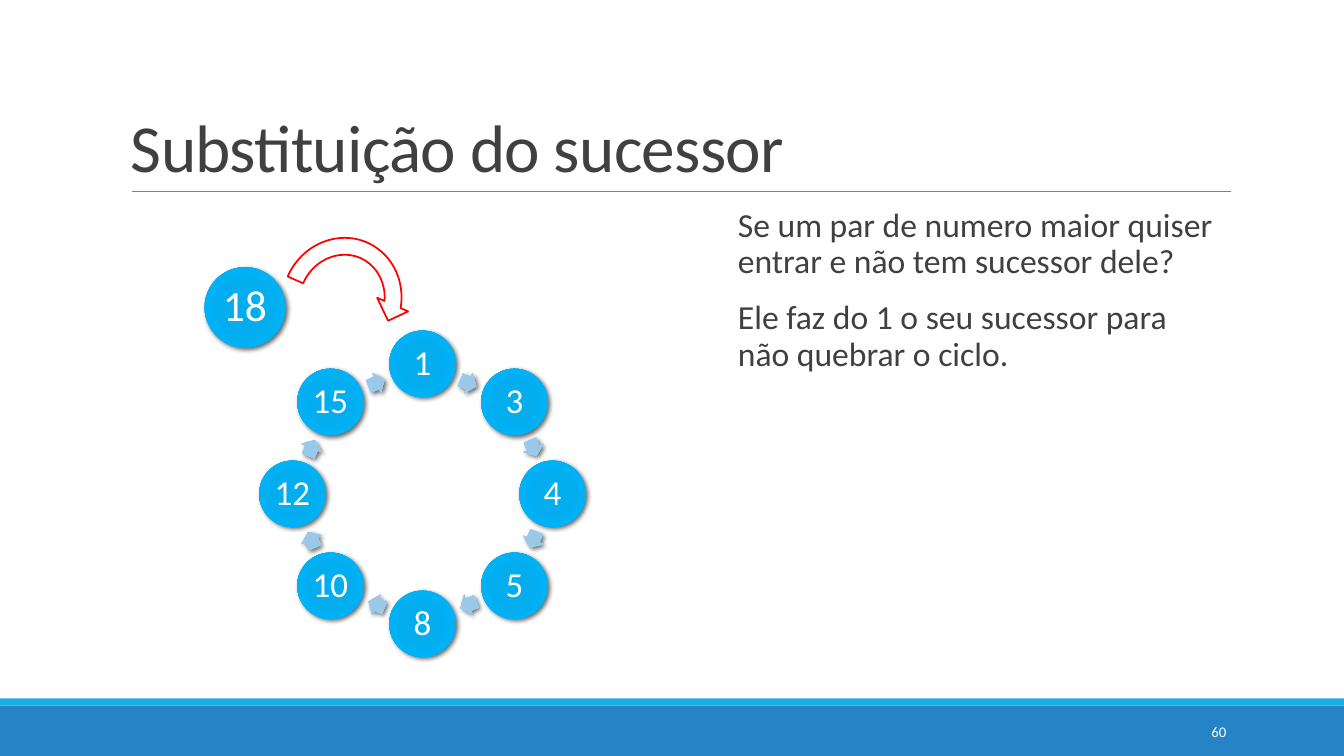
from dataclasses import dataclass
from math import cos, radians, sin

from lxml import etree
from pptx import Presentation
from pptx.dml.color import RGBColor as Rgb
from pptx.enum.shapes import MSO_CONNECTOR as Conn, MSO_SHAPE as Geo
from pptx.enum.text import MSO_ANCHOR as Anchor, PP_ALIGN as Align
from pptx.oxml import parse_xml
from pptx.oxml.ns import qn
from pptx.util import Pt

PX = 9144  # EMU in one px, 100 px to the inch
NS = 'xmlns:a="http://schemas.openxmlformats.org/drawingml/2006/main"'
SHADOW = f"""<a:outerShdw {NS} blurRad="44450" dist="25400" dir="2700000">
  <a:srgbClr val="000000"><a:alpha val="60000"/></a:srgbClr></a:outerShdw>"""


@dataclass(frozen=True)
class Theme:
    font: str = "Calibri"
    ink: str = "404040"
    white: str = "FFFFFF"
    rule: str = "808080"
    bar: str = "2683C6"
    strip: str = "1CADE4"
    alert: str = "FF0000"
    stops: tuple = (0, 34, 70, 100)
    node: tuple = ("00ADEF", "03ADEE", "00B1F5", "12B1EE")
    link: tuple = ("97C6E8", "9AC8E9", "9BCBEE", "A9D3F3")
    title: float = 48
    body: float = 24
    label: float = 25
    guest: float = 31
    page: float = 10.5


class Board:
    def __init__(self, slide, theme):
        self.shapes = slide.shapes
        self.theme = theme

    def style(self, para, size, color, align=Align.LEFT, lead=0.9):
        para.alignment = align
        para.line_spacing = lead
        for run in para.runs:
            run.font.name = self.theme.font
            run.font.size = Pt(size)
            run.font.color.rgb = Rgb.from_string(color)

    def text(self, box, lines, size, color, anchor=Anchor.TOP, **look):
        """Add a text box and return its paragraphs."""
        frame = self.shapes.add_textbox(*(v * PX for v in box)).text_frame
        frame.word_wrap = True
        frame.vertical_anchor = anchor
        frame.text = "\n".join(lines)
        for para in frame.paragraphs:
            self.style(para, size, color, **look)
        return frame.paragraphs

    def shape(self, geo, box, fill=None, line=None):
        item = self.shapes.add_shape(geo, *(round(v * PX) for v in box))
        item.shadow.inherit = False
        if fill:
            item.fill.solid()
            item.fill.fore_color.rgb = Rgb.from_string(fill)
        else:
            item.fill.background()
        if line:
            item.line.color.rgb = Rgb.from_string(line)
            item.line.width = Pt(1.25)
        else:
            item.line.fill.background()
        return item

    def glow(self, geo, mid, size, colors):
        """Add a centred shape with a round gradient and a soft shadow."""
        (x, y), (w, h) = mid, size
        item = self.shape(geo, (x - w / 2, y - h / 2, w, h), colors[0])
        stops = "".join(
            f'<a:gs pos="{pos * 1000}"><a:srgbClr val="{color}"/></a:gs>'
            for pos, color in zip(self.theme.stops, colors))
        grad = parse_xml(
            f'<a:gradFill {NS} rotWithShape="1"><a:gsLst>{stops}</a:gsLst>'
            '<a:path path="circle"><a:fillToRect l="100000" t="100000" '
            'r="100000" b="100000"/></a:path></a:gradFill>')
        props = item._element.spPr
        props.replace(props.find(qn("a:solidFill")), grad)
        props.find(qn("a:effectLst")).append(parse_xml(SHADOW))
        return item

    def node(self, mid, width, label, size):
        item = self.glow(Geo.OVAL, mid, (width, width), self.theme.node)
        frame = item.text_frame
        frame.margin_left = frame.margin_right = 3 * PX
        frame.margin_top = frame.margin_bottom = 3 * PX
        frame.vertical_anchor = Anchor.MIDDLE
        frame.text = str(label)
        self.style(frame.paragraphs[0], size, self.theme.white, Align.CENTER)

    def link(self, mid, turn):
        item = self.glow(Geo.RIGHT_ARROW, mid, (17, 22), self.theme.link)
        item.adjustments[0] = 0.6
        item.adjustments[1] = 0.5
        item.rotation = turn

    def rule(self, left, right, y):
        line = self.shapes.add_connector(
            Conn.STRAIGHT, left * PX, y * PX, right * PX, y * PX)
        line.line.color.rgb = Rgb.from_string(self.theme.rule)
        line.line.width = Pt(0.5)
        etree.SubElement(line._element.spPr, qn("a:effectLst"))


def polar(mid, reach, turn):
    """Point at a clockwise angle from the top of a circle."""
    angle = radians(turn)
    return mid[0] + reach * sin(angle), mid[1] - reach * cos(angle)


def main():
    deck = Presentation()
    deck.slide_width, deck.slide_height = 1333 * PX, 750 * PX
    theme = Theme()
    board = Board(deck.slides.add_slide(deck.slide_layouts[6]), theme)

    # Footer bars and title rule
    board.shape(Geo.RECTANGLE, (0, 700, 1333, 50), theme.bar)
    board.shape(Geo.RECTANGLE, (0, 693, 1333, 7), theme.strip)
    board.rule(131, 1221, 190)

    # Title
    title = board.text((120, 31, 1100, 159), ["Substituição do sucessor"],
                       theme.title, theme.ink, Anchor.BOTTOM, lead=0.85)
    title[0].runs[0].font._element.set("spc", "-50")

    # Question and answer
    body = board.text(
        (722, 202, 498, 440),
        ["Se um par de numero maior quiser entrar e não tem sucessor dele?",
         "Ele faz do 1 o seu sucessor para não quebrar o ciclo."],
        theme.body, theme.ink)
    for para in body:
        para.space_after = Pt(2)
    body[1].space_before = Pt(12)

    # Page number
    board.text((1083, 706, 143, 40), ["60"], theme.page, theme.white,
               Anchor.MIDDLE, align=Align.RIGHT, lead=1.0)

    # Ring of peers, each pointing to its successor
    peers = (1, 3, 4, 5, 8, 10, 12, 15)
    hub, step = (419, 490), 360 / len(peers)
    for i, peer in enumerate(peers):
        turn = i * step
        board.node(polar(hub, 129, turn), 66, peer, theme.label)
        board.link(polar(hub, 119, turn + step / 2), turn + step / 2)

    # New peer and its jump to the first one
    board.node((243, 305), 80, 18, theme.guest)
    jump = board.shape(Geo.CIRCULAR_ARROW, (272, 227, 134, 142),
                       line=theme.alert)
    jump.rotation = 23.8

    deck.save("out.pptx")


if __name__ == "__main__":
    main()
